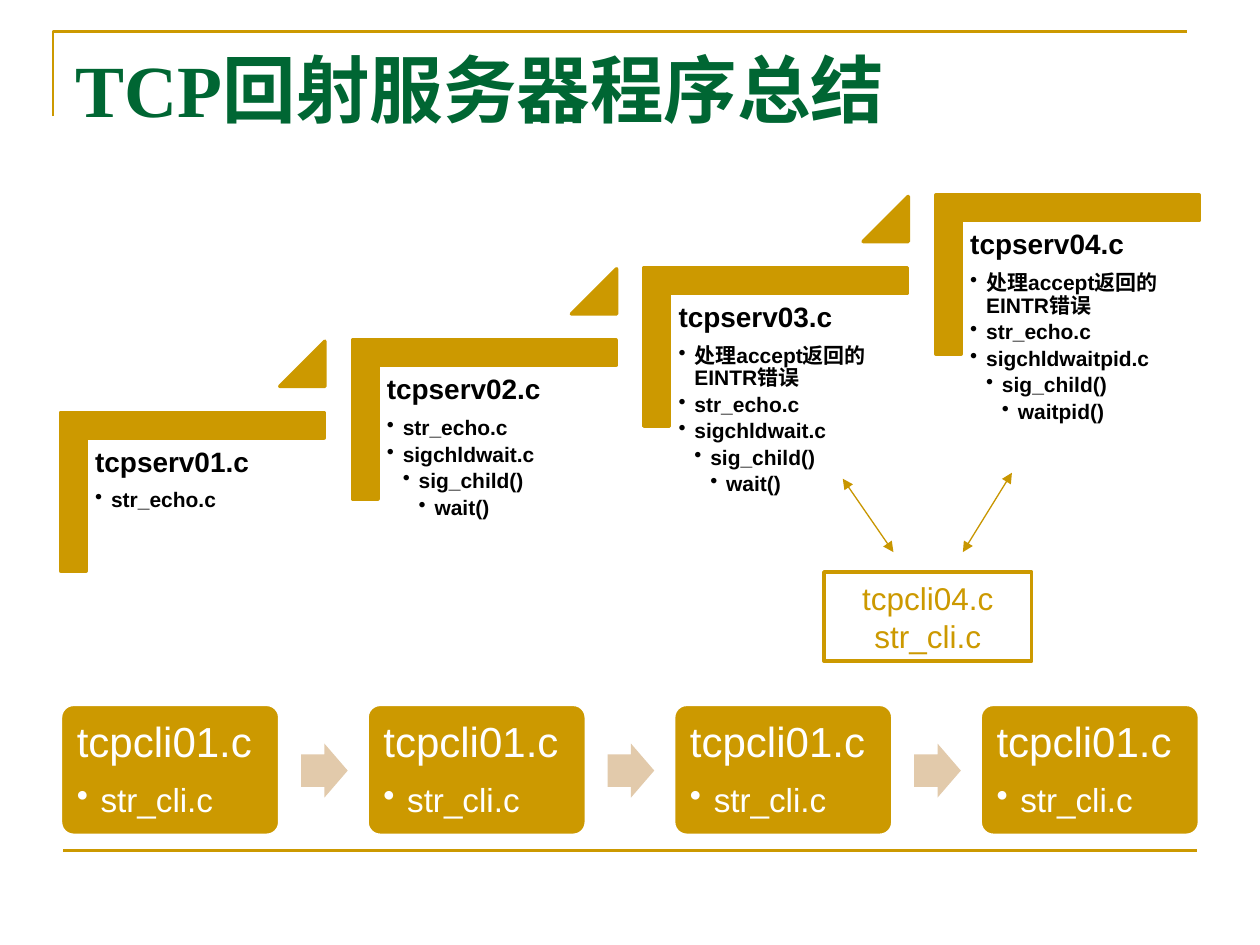
from lxml.etree import SubElement
from pptx import Presentation
from pptx.dml.color import RGBColor
from pptx.enum.shapes import MSO_CONNECTOR, MSO_SHAPE as SHAPE
from pptx.enum.text import MSO_ANCHOR as ANCHOR, PP_ALIGN as ALIGN
from pptx.oxml.ns import qn
from pptx.util import Cm, Pt

GOLD = RGBColor(0xCC, 0x99, 0x00)
DARK_GOLD = RGBColor(0xC8, 0x96, 0x00)
SAND = RGBColor(0xE2, 0xCA, 0xAB)
GREEN = RGBColor(0x00, 0x66, 0x33)
BLACK = RGBColor(0x00, 0x00, 0x00)
WHITE = RGBColor(0xFF, 0xFF, 0xFF)


def add_shape(kind, x, y, w, h, fill=None, line=None, adj=()):
    sp = s.shapes.add_shape(kind, Cm(x), Cm(y), Cm(w), Cm(h))
    sp.shadow.inherit = False
    for i, value in enumerate(adj):
        sp.adjustments[i] = value
    if fill is None:
        sp.fill.background()
    else:
        sp.fill.solid()
        sp.fill.fore_color.rgb = fill
    if line is None:
        sp.line.fill.background()
    else:
        sp.line.color.rgb = line
        sp.line.width = Pt(2)
    return sp


def add_list(x, y, w, h, inset, items, head_size, size, indent, color, bold):
    """Add a heading with bullets below it; items are (level, text), level 0 is the heading."""
    tf = s.shapes.add_textbox(Cm(x), Cm(y), Cm(w), Cm(h)).text_frame
    tf.word_wrap = True
    tf.margin_left = tf.margin_right = tf.margin_top = tf.margin_bottom = Cm(inset)
    for i, (level, text) in enumerate(items):
        p = tf.add_paragraph() if i else tf.paragraphs[0]
        if level:
            p.level = level
            pPr = p._p.get_or_add_pPr()
            pPr.set("marL", str(Cm(indent * level)))
            pPr.set("indent", str(-Cm(indent)))
            SubElement(pPr, qn("a:buChar"), char="•")
        font_size = size if level else head_size
        p.line_spacing = 0.9
        p.space_after = Pt(round(font_size * (0.18 if level else 0.42), 1))
        r = p.add_run()
        r.text = text
        r.font.name = "Arial"
        r.font.size = Pt(font_size)
        r.font.bold = bold
        r.font.color.rgb = color


prs = Presentation()
prs.slide_width, prs.slide_height = Cm(25.4), Cm(19.05)
s = prs.slides.add_slide(prs.slide_layouts[5])

# Title with its corner frame
fb = s.shapes.build_freeform(Cm(1.07), Cm(2.34))
fb.add_line_segments([(Cm(1.07), Cm(0.64)), (Cm(23.93), Cm(0.64))], close=False)
frame = fb.convert_to_shape()
frame.shadow.inherit = False
frame.fill.background()
frame.line.color.rgb = GOLD
frame.line.width = Pt(1.5)

title = s.shapes.title
title.left, title.top, title.width, title.height = Cm(1.27), Cm(0.76), Cm(21.03), Cm(3.18)
tf = title.text_frame
tf.vertical_anchor = ANCHOR.TOP
p = tf.paragraphs[0]
p.alignment = ALIGN.LEFT
r = p.add_run()
r.text = "TCP回射服务器程序总结"
r.font.name = "Times New Roman"
r.font.size = Pt(42)
r.font.bold = True
r.font.color.rgb = GREEN

# Server versions as rising steps
accept = (1, "处理accept返回的EINTR错误")
echo = (1, "str_echo.c")
child = (2, "sig_child()")
servers = [
    [echo],
    [echo, (1, "sigchldwait.c"), child, (3, "wait()")],
    [accept, echo, (1, "sigchldwait.c"), child, (3, "wait()")],
    [accept, echo, (1, "sigchldwaitpid.c"), child, (3, "waitpid()")],
]
for i, bullets in enumerate(servers):
    x, y = 1.75 + 5.88 * i, 8.86 - 1.46 * i
    corner = add_shape(SHAPE.CORNER, x + 0.53, y - 1.6, 3.2, 5.31, GOLD, GOLD, (0.16, 0.16))
    corner.rotation = 90
    if i < len(servers) - 1:
        add_shape(SHAPE.ISOSCELES_TRIANGLE, x + 3.89, y - 1.98, 0.91, 0.91, GOLD, GOLD, (1,))
    heading = (0, f"tcpserv0{i + 1}.c")
    add_list(x, y, 4.8, 4.22, 0.17, [heading] + bullets, 16, 12, 0.32, BLACK, True)

# Client versions as a row of cards
for i in range(4):
    x, y = 1.22 + 6.18 * i, 14.2
    add_shape(SHAPE.ROUNDED_RECTANGLE, x, y, 4.42, 2.64, GOLD, WHITE, (0.1,))
    add_list(x + 0.08, y + 0.08, 4.27, 2.49, 0.25,
             [(0, "tcpcli01.c"), (1, "str_cli.c")], 24, 19, 0.48, WHITE, False)
    if i < 3:
        add_shape(SHAPE.RIGHT_ARROW, x + 4.85, y + 0.79, 0.94, 1.09, SAND, adj=(0.6, 0.5))

# Client shared by the last two servers
tf = add_shape(SHAPE.RECTANGLE, 16.61, 11.53, 4.19, 1.8, line=GOLD).text_frame
tf.vertical_anchor = ANCHOR.MIDDLE
for i, text in enumerate(["tcpcli04.c", "str_cli.c"]):
    p = tf.add_paragraph() if i else tf.paragraphs[0]
    p.alignment = ALIGN.CENTER
    r = p.add_run()
    r.text = text
    r.font.name = "Arial"
    r.font.size = Pt(18)
    r.font.color.rgb = GOLD

# Footer rule and the double-headed arrows
for x1, y1, x2, y2, color, width, arrows in [
    (1.27, 17.15, 24.13, 17.15, GOLD, 1.5, False),
    (18.01, 11.13, 16.99, 9.65, DARK_GOLD, 0.75, True),
    (19.41, 11.13, 20.4, 9.53, DARK_GOLD, 0.75, True),
]:
    line = s.shapes.add_connector(MSO_CONNECTOR.STRAIGHT, Cm(x1), Cm(y1), Cm(x2), Cm(y2))
    line.line.color.rgb = color
    line.line.width = Pt(width)
    if arrows:
        for end in ("a:headEnd", "a:tailEnd"):
            SubElement(line.line._get_or_add_ln(), qn(end), type="triangle")
    SubElement(line._element.spPr, qn("a:effectLst"))

prs.save("out.pptx")
